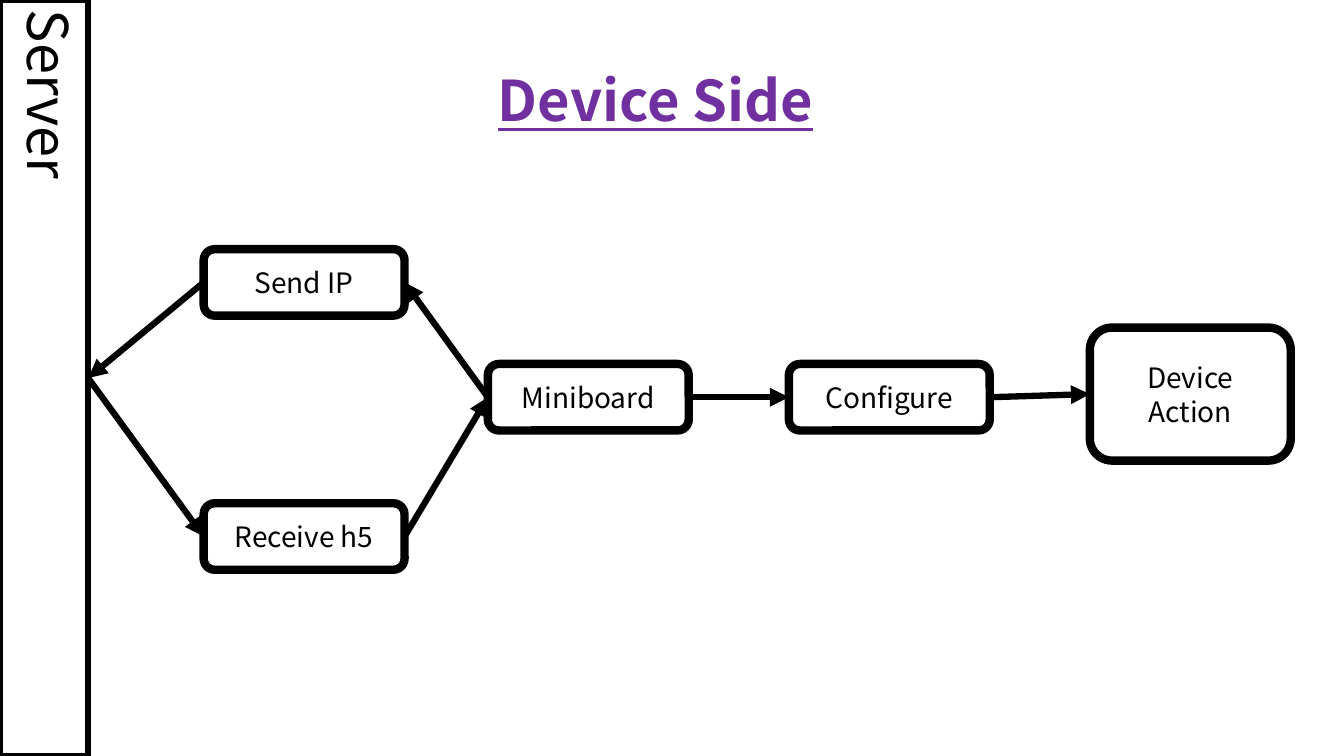
from lxml import etree
from pptx import Presentation
from pptx.dml.color import RGBColor
from pptx.enum.shapes import MSO_CONNECTOR, MSO_SHAPE
from pptx.enum.text import MSO_ANCHOR, PP_ALIGN
from pptx.oxml.ns import qn
from pptx.util import Pt

STRAIGHT = MSO_CONNECTOR.STRAIGHT
ROUND = MSO_SHAPE.ROUNDED_RECTANGLE
RECT = MSO_SHAPE.RECTANGLE
TOP, MIDDLE = MSO_ANCHOR.TOP, MSO_ANCHOR.MIDDLE
LEFT, CENTER = PP_ALIGN.LEFT, PP_ALIGN.CENTER
FONT = "Noto Sans CJK KR"
COLORS = {"ink": "000000", "title": "7030A0"}
COL, STEP = 348.5, 215
SIDE, ROW = 145.5, 260
WIDE, HIGH = 143.5, 47.5
WEST, EAST = 1, 3


def color(name):
    return RGBColor.from_string(COLORS[name])


def write(shape, text, size=20, ink="ink", align=CENTER, anchor=MIDDLE,
          bold=None, under=None, space=None):
    frame = shape.text_frame
    frame.text = text
    frame.word_wrap = True
    frame.vertical_anchor = anchor
    for para in frame.paragraphs:
        para.alignment = align
        para.line_spacing = space
        for run in para.runs:
            font = run.font
            font.name, font.size = FONT, Pt(size)
            font.bold, font.underline = bold, under
            font.color.rgb = color(ink)


def add_box(slide, text, left, top, width=WIDE, height=HIGH, kind=ROUND,
            line=6, **style):
    box = slide.shapes.add_shape(kind, Pt(left), Pt(top), Pt(width), Pt(height))
    box.shadow.inherit = False
    box.fill.background()
    box.line.color.rgb = color("ink")
    box.line.width = Pt(line)
    write(box, text, **style)
    return box


def add_arrow(slide, start, out, end, into):
    arrow = slide.shapes.add_connector(STRAIGHT, 0, 0, 0, 0)
    arrow.begin_connect(start, out)
    arrow.end_connect(end, into)
    arrow.line.color.rgb = color("ink")
    arrow.line.width = Pt(4.5)
    props = arrow.line._get_or_add_ln()
    etree.SubElement(props, qn("a:tailEnd"), type="triangle")
    etree.SubElement(arrow._element.spPr, qn("a:effectLst"))


def add_title(slide, text):
    title = slide.shapes.title
    title.left, title.top = Pt(COL), Pt(21.5)
    title.width, title.height = Pt(240.5), Pt(104.5)
    write(title, text, size=40, ink="title", align=LEFT, bold=True,
          under=True, space=0.9)


def main():
    deck = Presentation()
    deck.slide_width, deck.slide_height = Pt(960), Pt(540)
    slide = deck.slides.add_slide(deck.slide_layouts[5])
    add_title(slide, "Device Side")

    board = add_box(slide, "Miniboard", COL, ROW)
    send = add_box(slide, "Send IP", SIDE, 178)
    setup = add_box(slide, "Configure", COL + STEP, ROW)
    action = add_box(slide, "Device\nAction", COL + 2 * STEP, 234,
                     height=2 * HIGH)
    receive = add_box(slide, "Receive h5", SIDE, 359.5)
    server = add_box(slide, "Server", 0, 0, 63, 540, kind=RECT, line=4.5,
                     size=40, align=LEFT, anchor=TOP)
    server.text_frame._txBody.bodyPr.set("vert", "eaVert")

    for link in (
        (send, WEST, server, EAST),
        (server, EAST, receive, WEST),
        (board, WEST, send, EAST),
        (receive, EAST, board, WEST),
        (board, EAST, setup, WEST),
        (setup, EAST, action, WEST),
    ):
        add_arrow(slide, *link)
    deck.save("out.pptx")


if __name__ == "__main__":
    main()
